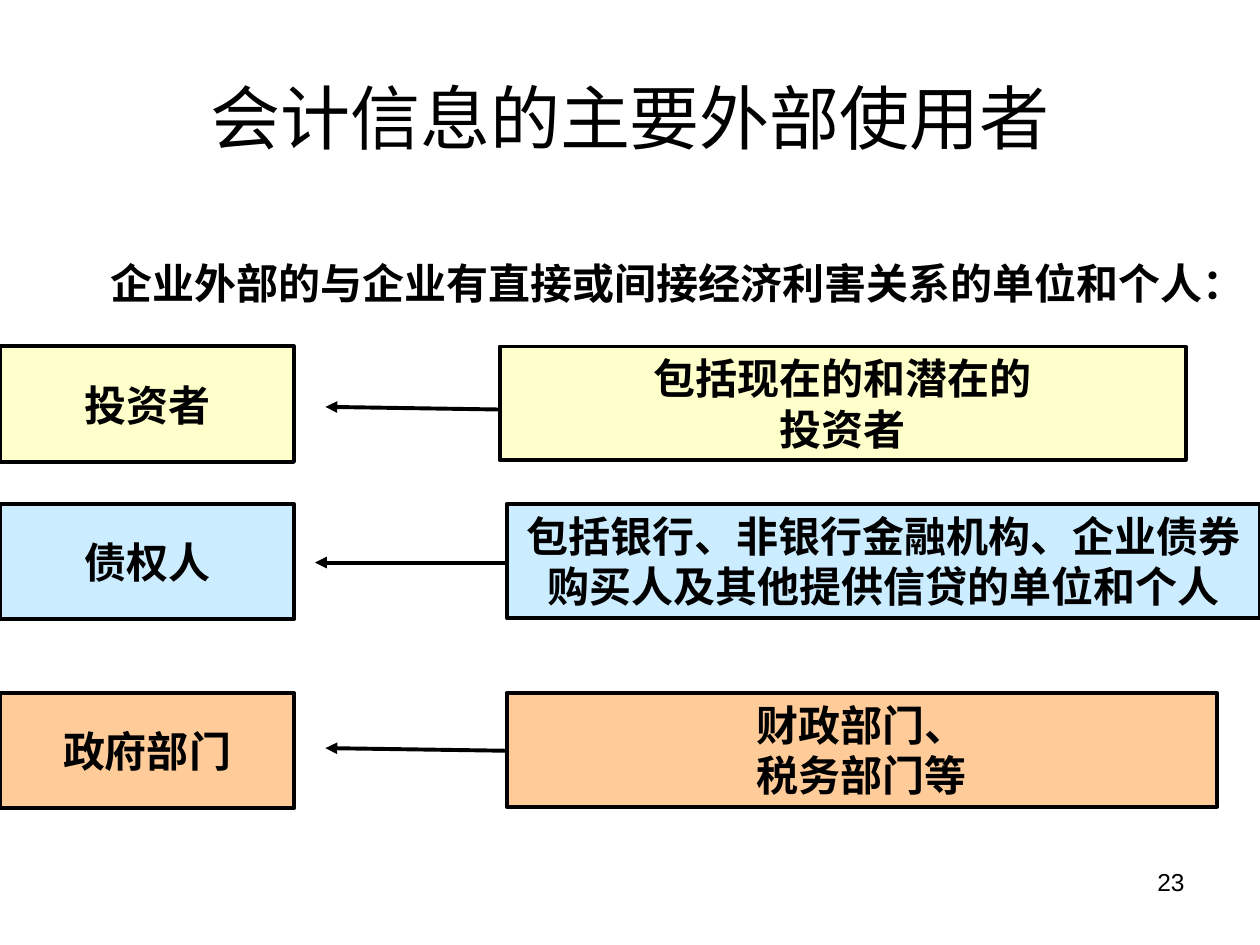
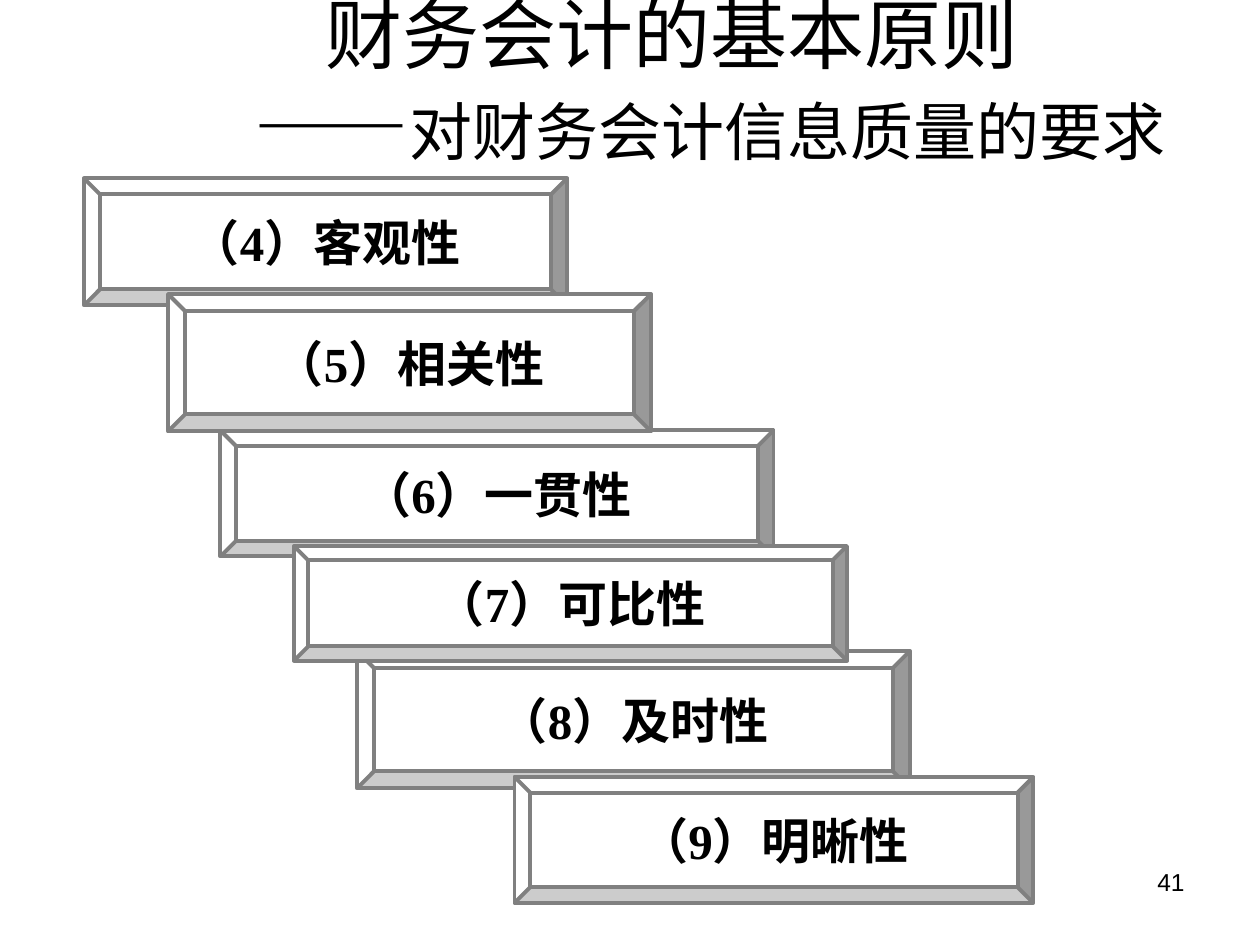
"""Build two slides on who uses accounting data and what it must satisfy."""
from dataclasses import dataclass

from lxml.etree import SubElement as Sub
from pptx import Presentation as Deck
from pptx.dml.color import RGBColor as Rgb
from pptx.enum.shapes import MSO_CONNECTOR as Link, MSO_SHAPE as Form
from pptx.enum.text import MSO_ANCHOR as Anchor, PP_ALIGN as Align
from pptx.oxml.ns import qn
from pptx.util import Pt


@dataclass(frozen=True)
class Theme:
    """Colours, fonts and type sizes of the deck."""
    ink: str = "000000"
    white: str = "FFFFFF"
    edge: str = "808080"
    cream: str = "FFFFCC"
    sky: str = "CCECFF"
    peach: str = "FFCC99"
    sans: str = "Arial"
    serif: str = "Times New Roman"
    head: int = 40
    large: int = 44
    sub: int = 36
    step: int = 28
    body: int = 24
    foot: int = 14
    line: float = 2.25


THEME = Theme()


def add_run(para, text, size, bold=False, font=THEME.sans):
    """Append one styled run."""
    run = para.add_run()
    run.text = text
    run.font.size = Pt(size)
    run.font.bold = bold
    run.font.name = font
    run.font.color.rgb = Rgb.from_string(THEME.ink)


def set_frame(frame, anchor=Anchor.TOP, wrap=True):
    """Set the inner margins, anchor and wrapping of a text frame."""
    frame.margin_left = frame.margin_right = Pt(7.2)
    frame.margin_top = frame.margin_bottom = Pt(3.6)
    frame.vertical_anchor = anchor
    frame.word_wrap = wrap


def add_para(frame, index, runs, align=Align.CENTER, indent=0):
    """Fill the paragraph at index with (text, size, bold, font) runs."""
    para = frame.add_paragraph() if index else frame.paragraphs[0]
    para.alignment = align
    if indent:
        props = para._p.get_or_add_pPr()
        props.set("marL", str(Pt(indent)))
        props.set("indent", "0")
    for run in runs:
        add_run(para, *run)


def add_label(slide, area, runs, align=Align.CENTER, anchor=Anchor.TOP, wrap=True):
    """Place a text box with one paragraph."""
    frame = slide.shapes.add_textbox(*map(Pt, area)).text_frame
    set_frame(frame, anchor, wrap)
    add_para(frame, 0, runs, align)
    return frame


def add_box(slide, form, area, fill, line, lines, style, anchor=Anchor.MIDDLE, wrap=False):
    """Place a filled, outlined shape with centred lines of bold text."""
    box = slide.shapes.add_shape(form, *map(Pt, area))
    box.shadow.inherit = False
    box.fill.solid()
    box.fill.fore_color.rgb = Rgb.from_string(fill)
    box.line.color.rgb = Rgb.from_string(line)
    box.line.width = Pt(THEME.line)
    set_frame(box.text_frame, anchor, wrap)
    size, font = style
    for index, text in enumerate(lines):
        add_para(box.text_frame, index, [(text, size, True, font)])


def add_arrow(slide, *ends):
    """Draw a line with a triangle at its end."""
    arrow = slide.shapes.add_connector(Link.STRAIGHT, *map(Pt, ends))
    arrow.line.color.rgb = Rgb.from_string(THEME.ink)
    arrow.line.width = Pt(THEME.line)
    props = arrow._element.spPr
    Sub(props.find(qn("a:ln")), qn("a:tailEnd"), type="triangle")
    Sub(props, qn("a:effectLst"))


def add_slide(deck, number):
    """Add a blank slide with its page number."""
    slide = deck.slides.add_slide(deck.slide_layouts[6])
    add_label(slide, (516, 492, 168, 37.5), [(number, THEME.foot)], Align.RIGHT)
    return slide


def add_row(slide, top, fill, user, lines, left, width, tip, drop, rise):
    """Add a user box, its detail box and the arrow between them."""
    style = THEME.body, THEME.sans
    add_box(slide, Form.RECTANGLE, (0, top, 168, 66), fill, THEME.ink, [user], style)
    add_box(slide, Form.RECTANGLE, (left, top, width, 65), fill, THEME.ink, lines,
            style, Anchor.TOP, True)
    add_arrow(slide, left - 0.5, top + drop, tip, top + drop - rise)


def make_users(deck):
    """Build the slide on outside users."""
    slide = add_slide(deck, "23")
    add_label(slide, (36, 21.5, 648, 90), [("会计信息的主要外部使用者", THEME.head)],
              anchor=Anchor.MIDDLE)
    add_label(slide, (56, 143.5, 662.5, 36),
              [("企业外部的与企业有直接或间接经济利害关系的单位和个人：", THEME.body, True)],
              wrap=False)
    rows = [
        (198, THEME.cream, "投资者", ["包括现在的和潜在的", "投资者"],
         285.5, 392, 186, 36, 1.5),
        (288, THEME.sky, "债权人",
         ["包括银行、非银行金融机构、企业债券购买人及其他提供信贷的单位和个人"],
         289.5, 430.5, 180, 33.5, 0),
        (396, THEME.peach, "政府部门", ["财政部门、", "税务部门等"],
         289.5, 406, 186, 33, 1.5),
    ]
    for row in rows:
        add_row(slide, *row)


def make_rules(deck):
    """Build the slide on the quality rules, as overlapping steps."""
    slide = add_slide(deck, "41")
    steps = [
        ("（4）客观性", 48, 102, 276, 72.5),
        ("（6）一贯性", 126, 246, 316, 72),
        ("（8）及时性", 204, 372, 316, 78.5),
        ("（9）明晰性", 294, 444, 296.5, 72),
        ("（5）相关性", 96, 168, 276, 78.5),
        ("（7）可比性", 168, 312, 316, 65.5),
    ]
    for text, *area in steps:
        add_box(slide, Form.BEVEL, area, THEME.white, THEME.edge, [text],
                (THEME.step, THEME.serif))
    frame = slide.shapes.add_textbox(*map(Pt, (39.5, -13.5, 680.5, 117))).text_frame
    set_frame(frame, Anchor.MIDDLE)
    add_para(frame, 0, [("财务会计的基本原则", THEME.large)], indent=9)
    add_para(frame, 1, [("——", THEME.large), ("对财务会计信息质量的要求", THEME.sub)],
             indent=52)


def main():
    """Build and save the deck."""
    deck = Deck()
    deck.slide_width, deck.slide_height = Pt(720), Pt(540)
    make_users(deck)
    make_rules(deck)
    deck.save("out.pptx")


if __name__ == "__main__":
    main()
